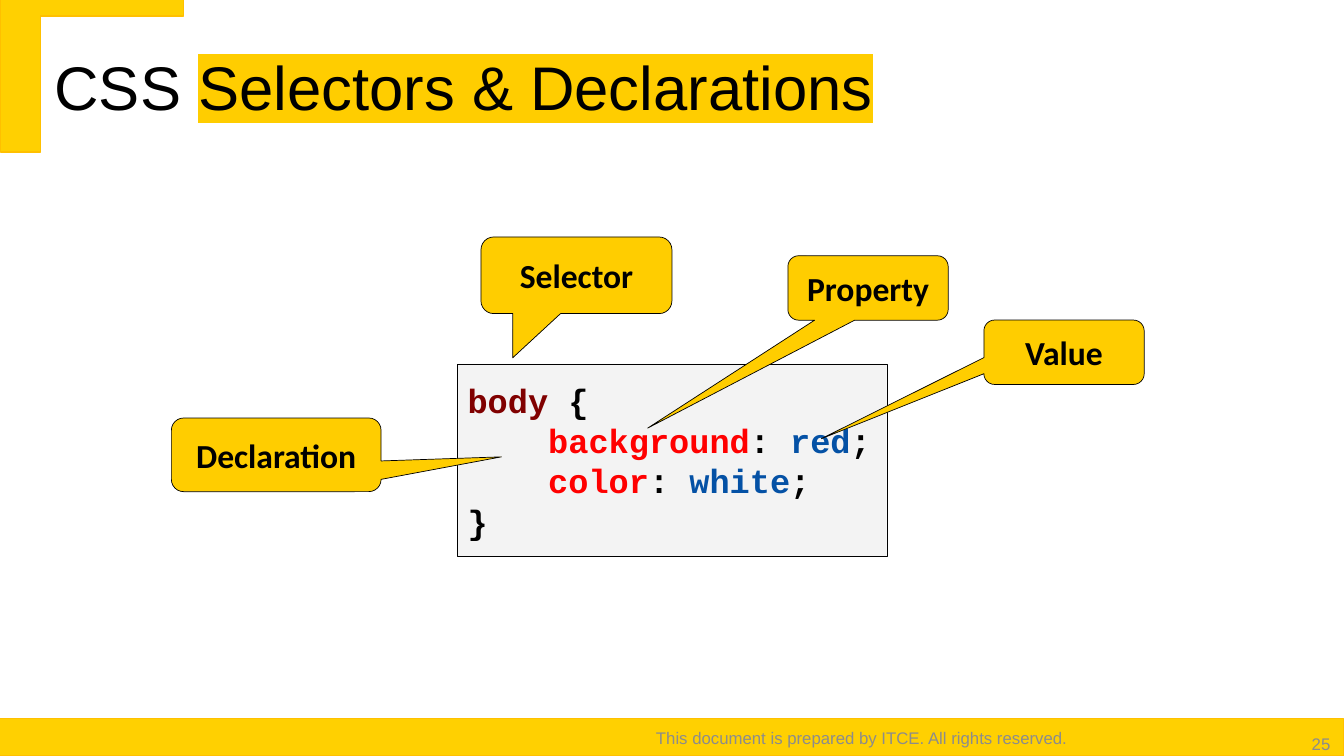
from lxml.etree import SubElement
from pptx import Presentation
from pptx.dml.color import RGBColor
from pptx.enum.shapes import MSO_SHAPE
from pptx.enum.text import MSO_ANCHOR, MSO_AUTO_SIZE, PP_ALIGN
from pptx.oxml.ns import qn
from pptx.util import Pt

BAND_YELLOW = RGBColor(0xFF, 0xD0, 0x01)
BAND_EDGE = RGBColor(0xFF, 0xC0, 0x00)
CALLOUT_YELLOW = RGBColor(0xFF, 0xCD, 0x00)
CODE_GRAY = RGBColor(0xD0, 0xCE, 0xCE)
FOOTER_GRAY = RGBColor(0x8C, 0x8C, 0x8C)
BLACK = RGBColor(0x00, 0x00, 0x00)
SELECTOR_MAROON = RGBColor(0x80, 0x00, 0x00)
PROPERTY_RED = RGBColor(0xFF, 0x00, 0x00)
VALUE_BLUE = RGBColor(0x04, 0x51, 0xA5)

CODE_LINES = [
    [("body", SELECTOR_MAROON), (" {", BLACK)],
    [("    background", PROPERTY_RED), (": ", BLACK), ("red", VALUE_BLUE), (";", BLACK)],
    [("    color", PROPERTY_RED), (": ", BLACK), ("white", VALUE_BLUE), (";", BLACK)],
    [("}", BLACK)],
]

# Label, box (left, top, width, height), tip offset from centre as share of the box
CALLOUTS = [
    ("Selector", (343.6, 169.3, 136.4, 54.7), (-0.334, 1.078)),
    ("Declaration", (122.4, 298.6, 149.8, 52.6), (1.074, 0.028)),
    ("Property", (562.8, 182.7, 114.5, 46), (-1.375, 2.176)),
    ("Value", (702.8, 228.6, 114.5, 46), (-1.514, 1.342)),
]


def style_font(font, name, size, color=None, bold=False):
    font.name = name
    font.size = Pt(size)
    font.bold = bold
    if color is not None:
        font.color.rgb = color


def set_frame(frame, anchor, inset_x=7.2, inset_y=3.6):
    frame.word_wrap = True
    frame.auto_size = MSO_AUTO_SIZE.NONE
    frame.vertical_anchor = anchor
    frame.margin_left = frame.margin_right = Pt(inset_x)
    frame.margin_top = frame.margin_bottom = Pt(inset_y)


def add_filled(slide, preset, box, fill, edge, edge_width):
    shape = slide.shapes.add_shape(preset, *map(Pt, box))
    shape.shadow.inherit = False
    shape.fill.solid()
    shape.fill.fore_color.rgb = fill
    shape.line.color.rgb = edge
    shape.line.width = Pt(edge_width)
    return shape


def add_title(slide, plain, highlighted):
    title = slide.shapes.title
    title.left, title.top, title.width, title.height = map(Pt, (29.5, 12.2, 771.8, 104.4))
    set_frame(title.text_frame, MSO_ANCHOR.MIDDLE, 9.4, 9.4)
    heading = title.text_frame.paragraphs[0]
    heading.alignment = PP_ALIGN.LEFT
    heading.line_spacing = 0.9
    style_font(heading.font, "Arial", 44, BLACK)
    heading.add_run().text = plain
    marked = heading.add_run()
    marked.text = highlighted
    highlight = SubElement(marked.font._element, qn("a:highlight"))
    SubElement(highlight, qn("a:srgbClr"), val=str(CALLOUT_YELLOW))


def add_footer_text(slide, text, box, anchor, alignment, *insets):
    footer = slide.shapes.add_textbox(*map(Pt, box))
    set_frame(footer.text_frame, anchor, *insets)
    line = footer.text_frame.paragraphs[0]
    line.text = text
    line.alignment = alignment
    style_font(line.font, "Arial", 12, FOOTER_GRAY)


def add_code(slide):
    panel = add_filled(slide, MSO_SHAPE.RECTANGLE, (326.9, 259.9, 306.5, 137.6),
                       CODE_GRAY, BLACK, 0.25)
    tint = panel._element.spPr.find(qn("a:solidFill"))[0]
    SubElement(tint, qn("a:alpha"), val="24000")
    frame = panel.text_frame
    set_frame(frame, MSO_ANCHOR.MIDDLE)
    for index, tokens in enumerate(CODE_LINES):
        line = frame.add_paragraph() if index else frame.paragraphs[0]
        line.alignment = PP_ALIGN.LEFT
        style_font(line.font, "Courier New", 24, bold=True)
        for text, color in tokens:
            token = line.add_run()
            token.text = text
            token.font.color.rgb = color


def add_callout(slide, label, box, tip):
    callout = add_filled(slide, MSO_SHAPE.ROUNDED_RECTANGULAR_CALLOUT, box,
                         CALLOUT_YELLOW, BLACK, 0.5)
    callout.adjustments[0], callout.adjustments[1] = tip
    set_frame(callout.text_frame, MSO_ANCHOR.MIDDLE)
    caption = callout.text_frame.paragraphs[0]
    caption.text = label
    caption.alignment = PP_ALIGN.CENTER
    style_font(caption.font, "Calibri", 24, BLACK, bold=True)


def main():
    deck = Presentation()
    deck.slide_width, deck.slide_height = Pt(960), Pt(540)
    slide = deck.slides.add_slide(deck.slide_layouts[5])

    # Yellow footer band and corner bracket
    add_filled(slide, MSO_SHAPE.RECTANGLE, (-0.5, 513.1, 960, 26.9),
               BAND_YELLOW, BAND_EDGE, 1)
    bracket = add_filled(slide, MSO_SHAPE.CORNER, (11.3, -11.4, 108.7, 131),
                         BAND_YELLOW, BAND_EDGE, 1)
    bracket.rotation = 90
    bracket.adjustments[0], bracket.adjustments[1] = 0.263, 0.107

    add_title(slide, "CSS ", "Selectors & Declarations")

    # Code sample and the callouts naming its parts
    add_code(slide)
    for label, box, tip in CALLOUTS:
        add_callout(slide, label, box, tip)

    # Footer
    add_footer_text(slide, "This document is prepared by ITCE. All rights reserved.",
                    (370.1, 513.4, 491, 26.6), MSO_ANCHOR.MIDDLE, PP_ALIGN.CENTER)
    add_footer_text(slide, "25", (915.1, 514.8, 44.6, 23),
                    MSO_ANCHOR.TOP, PP_ALIGN.RIGHT, 9.4, 9.4)

    deck.save("out.pptx")


if __name__ == "__main__":
    main()
